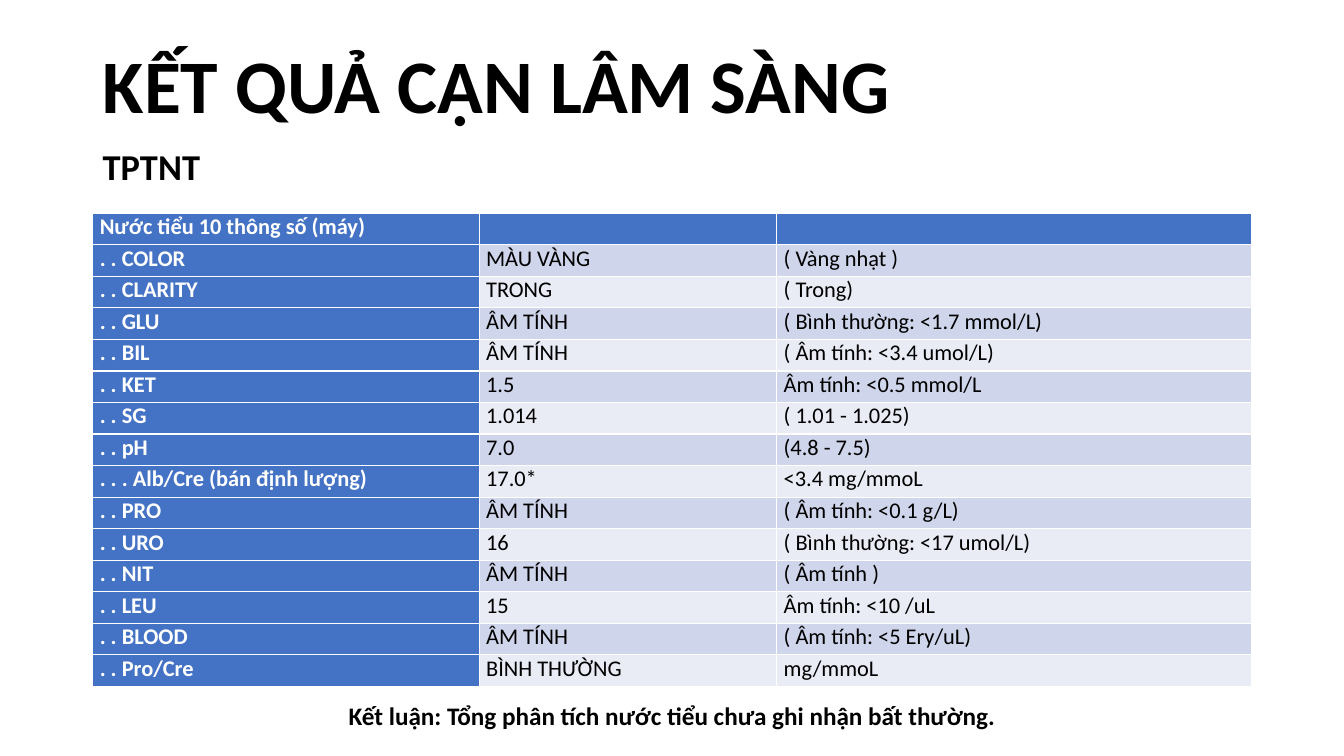
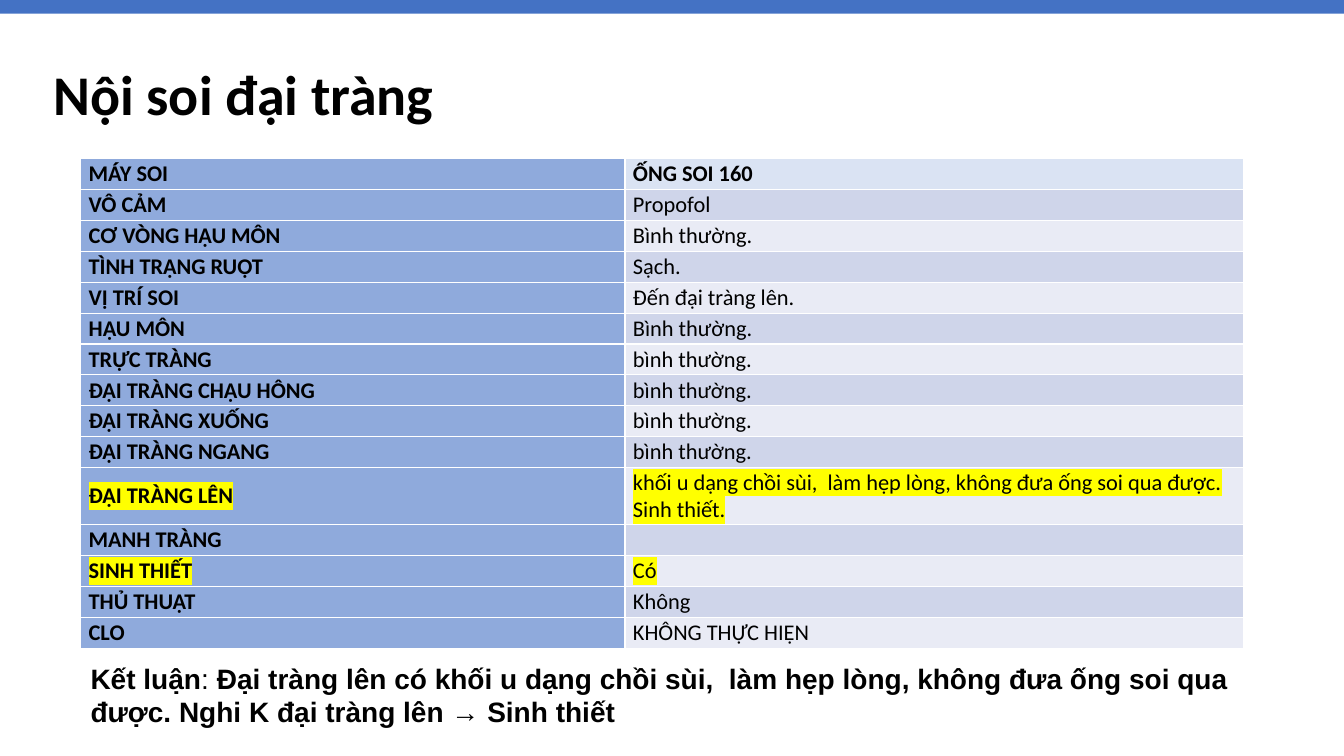
from lxml import etree
from pptx import Presentation
from pptx.dml.color import RGBColor
from pptx.enum.shapes import MSO_SHAPE
from pptx.enum.text import MSO_ANCHOR, MSO_AUTO_SIZE, PP_ALIGN
from pptx.oxml.ns import qn
from pptx.util import Inches, Pt

RECT = MSO_SHAPE.RECTANGLE
TOP, MID, LOW = MSO_ANCHOR.TOP, MSO_ANCHOR.MIDDLE, MSO_ANCHOR.BOTTOM
LEFT = PP_ALIGN.LEFT
FIXED = MSO_AUTO_SIZE.NONE

WIDE, HIGH = Inches(13.33), Inches(7.5)
BLACK, WHITE, BLUE = "000000", "FFFFFF", "4472C4"
SOFT, PALE, MARK = "8FAADC", "DAE3F3", "FFFF00"
BANDS = ("CFD5EA", "E9EBF5")

URINE = [
    ("Nước tiểu 10 thông số (máy)", "", ""),
    (". . COLOR", "MÀU VÀNG", "( Vàng nhạt )"),
    (". . CLARITY", "TRONG", "( Trong)"),
    (". . GLU", "ÂM TÍNH", "( Bình thường: <1.7 mmol/L)"),
    (". . BIL", "ÂM TÍNH", "( Âm tính: <3.4 umol/L)"),
    (". . KET", "1.5", "Âm tính: <0.5 mmol/L"),
    (". . SG", "1.014", "( 1.01 - 1.025)"),
    (". . pH", "7.0", "(4.8 - 7.5)"),
    (". . . Alb/Cre (bán định lượng)", "17.0*", "<3.4 mg/mmoL"),
    (". . PRO", "ÂM TÍNH", "( Âm tính: <0.1 g/L)"),
    (". . URO", "16", "( Bình thường: <17 umol/L)"),
    (". . NIT", "ÂM TÍNH", "( Âm tính )"),
    (". . LEU", "15", "Âm tính: <10 /uL"),
    (". . BLOOD", "ÂM TÍNH", "( Âm tính: <5 Ery/uL)"),
    (". . Pro/Cre", "BÌNH THƯỜNG", "mg/mmoL"),
]
COLON = [
    ("MÁY SOI", "ỐNG SOI 160"),
    ("VÔ CẢM", "Propofol"),
    ("CƠ VÒNG HẬU MÔN", "Bình thường."),
    ("TÌNH TRẠNG RUỘT", "Sạch."),
    ("VỊ TRÍ SOI", "Đến đại tràng lên."),
    ("HẬU MÔN", "Bình thường."),
    ("TRỰC TRÀNG", "bình thường."),
    ("ĐẠI TRÀNG CHẬU HÔNG", "bình thường."),
    ("ĐẠI TRÀNG XUỐNG", "bình thường."),
    ("ĐẠI TRÀNG NGANG", "bình thường."),
    ("ĐẠI TRÀNG LÊN", "khối u dạng chồi sùi,  làm hẹp lòng, "
     "không đưa ống soi qua được. Sinh thiết."),
    ("MANH TRÀNG", ""),
    ("SINH THIẾT", "Có"),
    ("THỦ THUẬT", "Không"),
    ("CLO", "KHÔNG THỰC HIỆN"),
]


def box(x, y, w, h):
    """Turn per cent of the slide into lengths."""
    return [int(side * part / 100)
            for side, part in zip((WIDE, HIGH, WIDE, HIGH), (x, y, w, h))]


def paint(target, color):
    target.fill.solid()
    target.fill.fore_color.rgb = RGBColor.from_string(color)


def write(frame, text, size=16, color=BLACK, bold=True, face="Calibri",
          mark=None, lead=None):
    """Add one run to the last paragraph of a frame."""
    para = frame.paragraphs[-1]
    para.alignment = LEFT
    if lead:
        para.line_spacing = lead
    run = para.add_run()
    run.text = text
    font = run.font
    font.size, font.bold, font.name = Pt(size), bold, face
    font.color.rgb = RGBColor.from_string(color)
    if mark:
        glow = etree.Element(qn("a:highlight"))
        etree.SubElement(glow, qn("a:srgbClr")).set("val", mark)
        font.fill._xPr.find(qn("a:solidFill")).addnext(glow)


def head(slide, text, area, size):
    """Title placeholder."""
    title = slide.shapes.title
    title.left, title.top, title.width, title.height = area
    frame = title.text_frame
    frame.auto_size, frame.vertical_anchor = FIXED, LOW
    write(frame, text, size=size, lead=0.9)


def note(slide, area, runs, **style):
    """Text box made of (text, bold) runs."""
    frame = slide.shapes.add_textbox(*area).text_frame
    frame.word_wrap = True
    for text, bold in runs:
        write(frame, text, bold=bold, **style)


def grid(slide, area, rows, cols, tall, fills, ink, anchor, pad, marks=()):
    """Table; cols and tall are weights, fills are (first column, header)."""
    left, top, wide, high = area
    table = slide.shapes.add_table(len(rows), len(cols), *area).table
    for col, part in zip(table.columns, cols):
        col.width = int(wide * part / sum(cols))
    for row, part in zip(table.rows, tall):
        row.height = int(high * part / sum(tall))
    side, crown = fills
    for r, row in enumerate(rows):
        for c, text in enumerate(row):
            cell = table.cell(r, c)
            cell.margin_left = cell.margin_right = Inches(pad)
            cell.margin_top = cell.margin_bottom = 0
            cell.vertical_anchor = anchor
            lead = r == 0 or c == 0
            paint(cell, side if c == 0 else crown if r == 0
                  else BANDS[(r - 1) % 2])
            if text:
                write(cell.text_frame, text, bold=lead,
                      color=ink if lead else BLACK,
                      mark=MARK if r in marks else None)


def urine(slide):
    head(slide, "KẾT QUẢ CẬN LÂM SÀNG", box(6.9, 4.27, 86.25, 13.6), 54)
    note(slide, box(6.9, 19.47, 86.25, 6.13), [("TPTNT", True)],
         size=26, lead=0.8)
    grid(slide, box(6.9, 28.2, 86.25, 62.67), URINE, (3.83, 2.95, 4.71),
         [1] * len(URINE), (BLUE, BLUE), WHITE, TOP, 0.07)
    note(slide, box(25.2, 92, 53.2, 5.33),
         [("Kết luận: Tổng phân tích nước tiểu chưa ghi nhận bất thường.",
           True)], size=18)


def colon(slide):
    head(slide, "Nội soi đại tràng", box(3.22, 7.33, 67.7, 10.27), 40)
    # Top band
    bar = slide.shapes.add_shape(RECT, *box(0, 0, 100, 1.8))
    bar.shadow.inherit = False
    paint(bar, BLUE)
    bar.line.fill.background()
    # Findings, with the two key rows marked
    tall = [1.85 if row[0] == "ĐẠI TRÀNG LÊN" else 1 for row in COLON]
    grid(slide, box(6, 21, 86.55, 64.8), COLON, (5.4, 6.14), tall,
         (SOFT, PALE), BLACK, MID, 0.08, marks=(10, 12))
    note(slide, box(6, 86.8, 87.5, 10.27),
         [("Kết luận", True), (": ", False),
          ("Đại tràng lên có khối u dạng chồi sùi,  làm hẹp lòng, không đưa "
           "ống soi qua được. Nghi K đại tràng lên → Sinh thiết", True)],
         size=20, face="Arial")


def main():
    deck = Presentation()
    deck.slide_width, deck.slide_height = WIDE, HIGH
    plain = deck.slide_layouts[5]
    for build in (urine, colon):
        build(deck.slides.add_slide(plain))
    deck.save("out.pptx")


if __name__ == "__main__":
    main()
